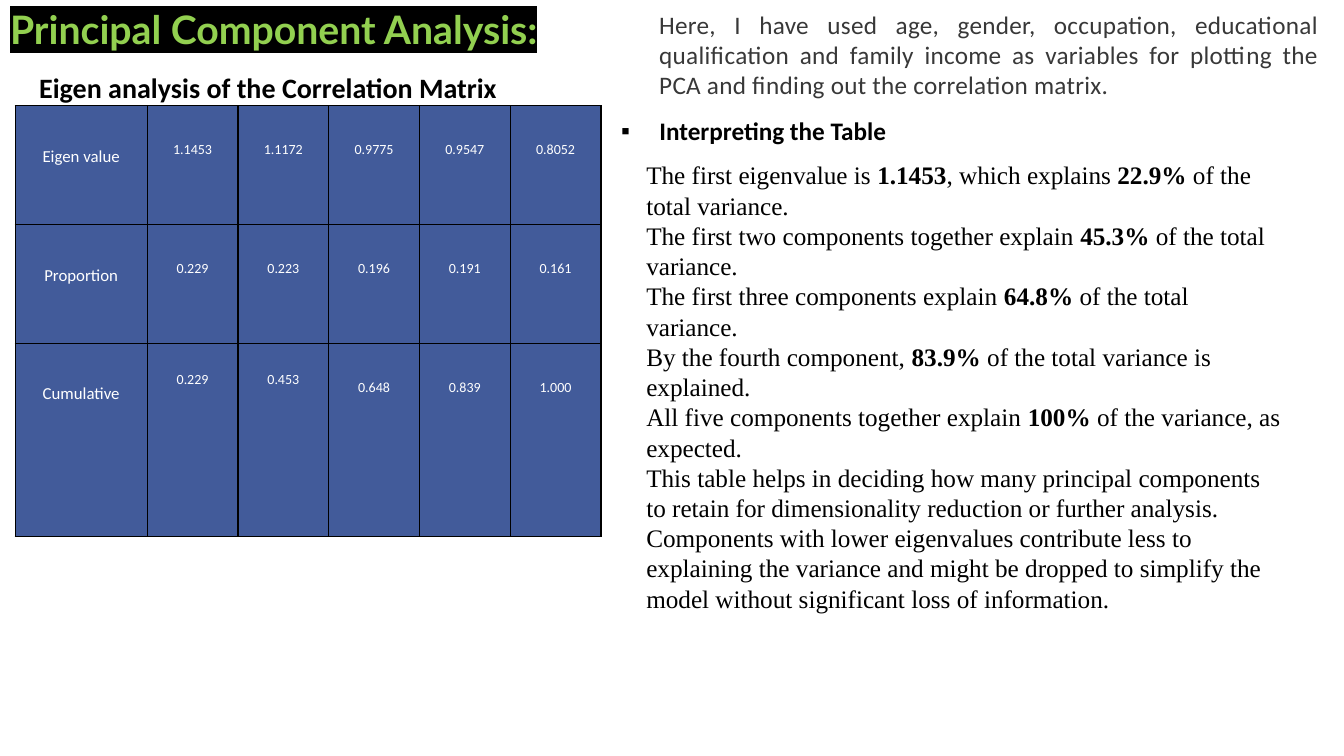
from lxml import etree
from pptx import Presentation
from pptx.dml.color import RGBColor
from pptx.enum.text import MSO_ANCHOR, MSO_AUTO_SIZE, PP_ALIGN
from pptx.oxml import parse_xml
from pptx.oxml.ns import nsdecls, qn
from pptx.util import Inches, Pt

BLACK = RGBColor(0x00, 0x00, 0x00)
WHITE = RGBColor(0xFF, 0xFF, 0xFF)
GREEN = RGBColor(0x92, 0xD0, 0x50)
GREY = RGBColor(0x38, 0x38, 0x38)
BLUE = RGBColor(0x42, 0x5B, 0x9A)
LEFT, CENTER, JUSTIFY = PP_ALIGN.LEFT, PP_ALIGN.CENTER, PP_ALIGN.JUSTIFY
TOP = MSO_ANCHOR.TOP
NO_FIT = MSO_AUTO_SIZE.NONE


def add_run(paragraph, text, color, **font_format):
    run = paragraph.add_run()
    run.text = text
    run.font.color.rgb = color
    for attribute, value in font_format.items():
        setattr(run.font, attribute, value)
    return run


def place(shape, left, top, width, height):
    box = {"left": left, "top": top, "width": width, "height": height}
    for attribute, value in box.items():
        setattr(shape, attribute, Inches(value))
    frame = shape.text_frame
    frame.word_wrap = True
    frame.auto_size = NO_FIT
    frame.vertical_anchor = TOP
    return frame


prs = Presentation()
prs.slide_width, prs.slide_height = Inches(13.33), Inches(7.5)
slide = prs.slides.add_slide(prs.slide_layouts[1])

# Title with a black highlight
heading = place(slide.shapes.title, 0, 0, 6.67, 0.57).paragraphs[0]
heading.alignment = LEFT
heading_run = add_run(heading, "Principal Component Analysis:", GREEN,
                      size=Pt(28), name="Lato", bold=True)
highlight = parse_xml(f'<a:highlight {nsdecls("a")}><a:srgbClr val="{BLACK}"/></a:highlight>')
heading_run.font._element.find(qn("a:solidFill")).addnext(highlight)

# Interpretation: bulleted heading, then findings; ** encloses bold figures
findings = [
    "The first eigenvalue is **1.1453**, which explains **22.9%** of the total variance.",
    "The first two components together explain **45.3%** of the total variance.",
    "The first three components explain **64.8%** of the total variance.",
    "By the fourth component, **83.9%** of the total variance is explained.",
    "All five components together explain **100%** of the variance, as expected.",
]
conclusion = (
    "This table helps in deciding how many principal components to retain for "
    "dimensionality reduction or further analysis. Components with lower eigenvalues "
    "contribute less to explaining the variance and might be dropped to simplify the "
    "model without significant loss of information."
)
interpretation = place(slide.placeholders[1], 6.06, 1.05, 6.74, 5.13)
subheading = interpretation.paragraphs[0]
subheading.line_spacing = 1.15
subheading.space_after = Pt(10)
add_run(subheading, "Interpreting the Table", BLACK,
        size=Pt(18), name="Calibri", bold=True)

for lines in (findings, [conclusion]):
    paragraph = interpretation.add_paragraph()
    for number, line in enumerate(lines):
        if number:
            paragraph.add_line_break()
        for part, text in enumerate(line.split("**")):
            add_run(paragraph, text, BLACK, size=Pt(18),
                    name="Times New Roman", bold=part % 2 == 1)

for number, paragraph in enumerate(interpretation.paragraphs):
    paragraph.space_before = Pt(0)
    properties = paragraph._p.get_or_add_pPr()
    margin, indent = (0.25, 0) if number else (0.38, -0.38)
    properties.set("marL", str(Inches(margin)))
    properties.set("indent", str(Inches(indent)))
    if number:
        etree.SubElement(properties, qn("a:buNone"))
    else:
        etree.SubElement(properties, qn("a:buChar")).set("char", "▪")

# Eigenvalue table
eigen_rows = [
    ["Eigen value", "1.1453", "1.1172", "0.9775", "0.9547", "0.8052"],
    ["Proportion", "0.229", "0.223", "0.196", "0.191", "0.161"],
    ["Cumulative", "0.229", "0.453", "0.648", "0.839", "1.000"],
]
column_widths = [1.31] + [0.9] * 5
row_heights = [1.18, 1.18, 1.91]
eigen_table = slide.shapes.add_table(
    len(row_heights), len(column_widths), Inches(0.15), Inches(1.05),
    Inches(sum(column_widths)), Inches(sum(row_heights))).table
eigen_table.first_row = False
eigen_table.horz_banding = False
for column, width in zip(eigen_table.columns, column_widths):
    column.width = Inches(width)
for row, height in zip(eigen_table.rows, row_heights):
    row.height = Inches(height)

for r, values in enumerate(eigen_rows):
    for c, value in enumerate(values):
        cell = eigen_table.cell(r, c)
        # The first two cumulative values sit slightly higher
        raised = r == 2 and c in (1, 2)
        top_margin = 0.37 if c == 0 else 0.28 if raised else 0.33
        cell_format = {"margin_left": Inches(0.07), "margin_right": Inches(0.07),
                       "margin_top": Inches(top_margin), "margin_bottom": 0,
                       "vertical_anchor": TOP}
        for attribute, setting in cell_format.items():
            setattr(cell, attribute, setting)
        paragraph = cell.text_frame.paragraphs[0]
        paragraph.alignment = CENTER
        paragraph.line_spacing = Pt(12) if raised else 1.15
        paragraph.space_after = Pt(10)
        add_run(paragraph, value, WHITE, size=Pt(10 if c else 12),
                name="Calibri", bold=False)
        cell_properties = cell._tc.get_or_add_tcPr()
        for side in ("lnL", "lnR", "lnT", "lnB"):
            cell_properties.append(parse_xml(
                f'<a:{side} {nsdecls("a")} w="{Pt(1)}"><a:solidFill>'
                f'<a:srgbClr val="{BLACK}"/></a:solidFill></a:{side}>'))
        cell.fill.solid()
        cell.fill.fore_color.rgb = BLUE

# Table caption and introduction
captions = [
    ((0.29, 0.65, 6.74, 0.44), "Eigen analysis of the Correlation Matrix",
     BLACK, 20, True, LEFT, 0),
    ((6.44, 0.04, 6.74, 1.01),
     "Here, I have used age, gender, occupation, educational qualification and family "
     "income as variables for plotting the PCA and finding out the correlation matrix.",
     GREY, 18, False, JUSTIFY, 20),
]
for box, text, color, size, bold, alignment, spacing in captions:
    frame = place(slide.shapes.add_textbox(0, 0, 0, 0), *box)
    paragraph = frame.paragraphs[0]
    paragraph.alignment = alignment
    run = add_run(paragraph, text, color, size=Pt(size), name="Calibri", bold=bold)
    run.font._element.set("spc", str(spacing))

prs.save("out.pptx")
